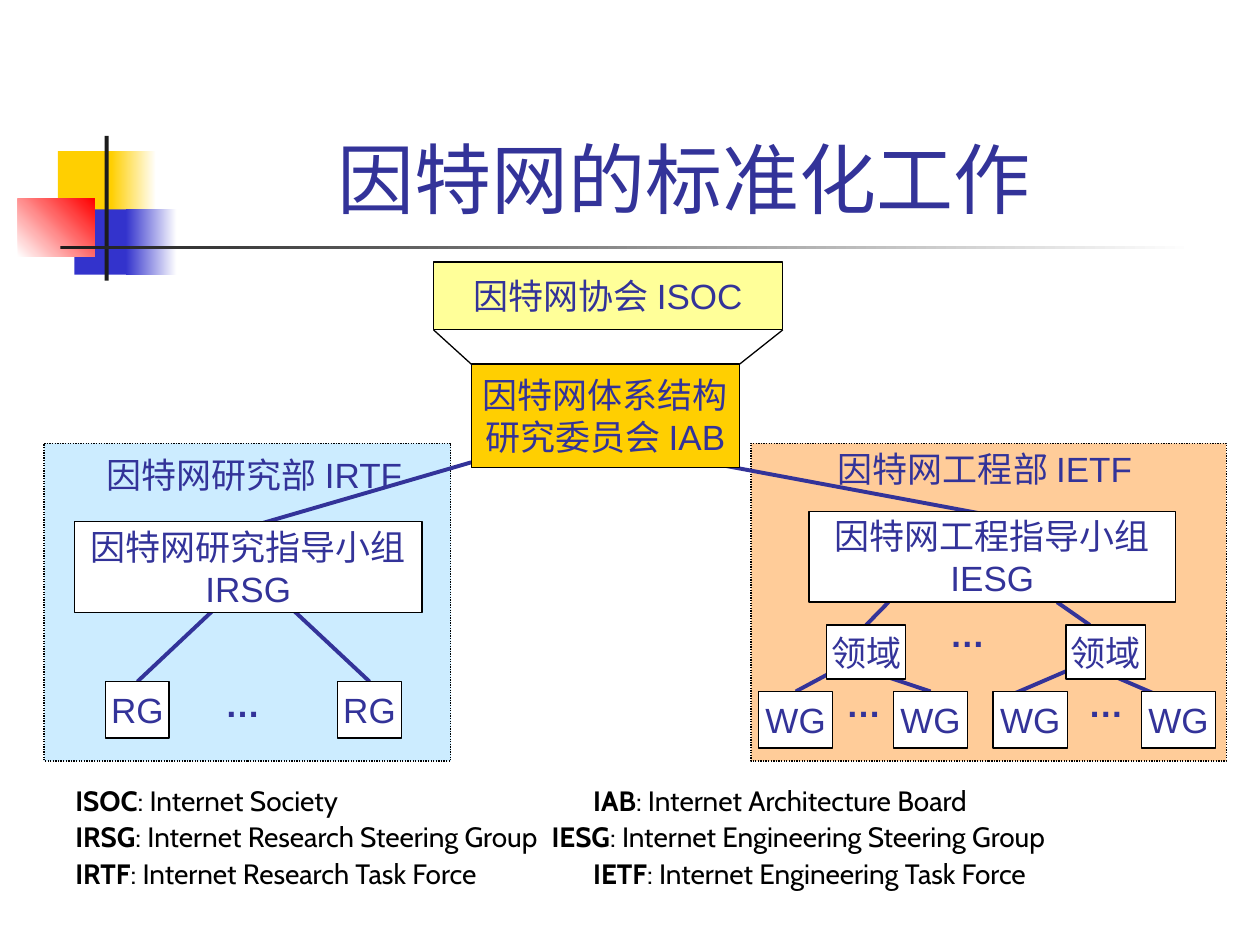
from lxml import etree
from pptx import Presentation
from pptx.dml.color import RGBColor
from pptx.enum.dml import MSO_LINE
from pptx.enum.shapes import MSO_CONNECTOR, MSO_SHAPE
from pptx.enum.text import MSO_ANCHOR, MSO_AUTO_SIZE, PP_ALIGN
from pptx.oxml.ns import qn
from pptx.util import Cm, Pt

RECTANGLE = MSO_SHAPE.RECTANGLE
STRAIGHT = MSO_CONNECTOR.STRAIGHT
DOTTED = MSO_LINE.ROUND_DOT
CENTER = PP_ALIGN.CENTER
MIDDLE, BOTTOM = MSO_ANCHOR.MIDDLE, MSO_ANCHOR.BOTTOM
NO_AUTOFIT = MSO_AUTO_SIZE.NONE
TOP_SIDE = 0

INDIGO = RGBColor(0x33, 0x33, 0x99)
BLACK = RGBColor(0, 0, 0)
WHITE = RGBColor(0xFF, 0xFF, 0xFF)
CHARCOAL = RGBColor(0x1C, 0x1C, 0x1C)
GOLD = RGBColor(0xFF, 0xCF, 0x01)
BLUE = RGBColor(0x33, 0x33, 0xCC)
RED = RGBColor(0xFF, 0, 0)
PALE_YELLOW = RGBColor(0xFF, 0xFF, 0x99)
PALE_BLUE = RGBColor(0xCC, 0xEC, 0xFF)
PEACH = RGBColor(0xFF, 0xCC, 0x99)

TITLE = "因特网的标准化工作"
TITLE_AREA = (2.69, 0.58, 22.2, 4.06)

ORNAMENTS = [
    ((1.17, 3.05, 1.22, 1.32), (GOLD,), 0),
    ((2.24, 3.05, 0.91, 1.32), (GOLD, WHITE), 0),
    ((1.5, 4.22, 1.17, 1.32), (BLUE,), 0),
    ((2.54, 4.22, 1.02, 1.32), (BLUE, WHITE), 0),
    ((0.36, 4.01, 1.55, 1.17), (WHITE, RED), 45),
    ((2.11, 2.74, 0.08, 2.92), (CHARCOAL,), 0),
    ((1.22, 4.95, 22.86, 0.08), (CHARCOAL, WHITE), 0),
]

PANELS = [
    ((0.89, 8.94, 8.2, 6.4), PALE_BLUE),
    ((15.14, 8.94, 9.58, 6.4), PEACH),
]
PANEL_LABELS = [
    ("因特网研究部 IRTF", (1.9, 9.02, 6.71, 1.12)),
    ("因特网工程部 IETF", (16.64, 8.89, 6.65, 1.12)),
]

BOXES = {
    "ISOC": (["因特网协会 ISOC"], (8.74, 5.28, 7.04, 1.37), PALE_YELLOW),
    "IAB": (["因特网体系结构", "研究委员会 IAB"], (9.5, 7.34, 5.41, 2.08), GOLD),
    "IRSG": (["因特网研究指导小组", "IRSG"], (1.5, 10.52, 7.01, 1.83), WHITE),
    "IESG": (["因特网工程指导小组", "IESG"], (16.31, 10.31, 7.39, 1.83), WHITE),
}
BOX_ROWS = [
    ("RG", (2.13, 6.81), 13.74, (1.28, 1.14)),
    ("领域", (16.66, 21.49), 12.6, (1.6, 1.09)),
    ("WG", (15.29, 18.01, 20.02, 23.01), 13.94, (1.5, 1.14)),
]
for name, lefts, top, size in BOX_ROWS:
    for number, left in enumerate(lefts, 1):
        BOXES[f"{name} {number}"] = ([name], (left, top, *size), WHITE)

ELLIPSES = [(18.9, 12.22), (16.81, 13.64), (21.69, 13.64), (4.29, 13.64)]

FUNNEL_LINES = [
    ((8.74, 6.65), (9.5, 7.34)),
    ((15.78, 6.65), (14.91, 7.34)),
]
TREE_LINES = [
    ((5.31, 10.54), (9.5, 9.32)),
    ((19.71, 10.34), (13.44, 9.17)),
    ((4.47, 12.14), "RG 1"),
    ((5.74, 12.14), "RG 2"),
    ((17.91, 12.14), "领域 1"),
    ((21.31, 12.14), (21.97, 12.6)),
    ((16.84, 13.51), "WG 1"),
    ((17.48, 13.51), "WG 2"),
    ((21.54, 13.51), (20.47, 13.97)),
    ((22.17, 13.51), (23.24, 13.97)),
]

GLOSSARY_AREA = (1.27, 15.67, 23.7, 2.41)
GLOSSARY = [
    (("ISOC", "Internet Society"), ("IAB", "Internet Architecture Board"), 10.44),
    (("IRSG", "Internet Research Steering Group"),
     ("IESG", "Internet Engineering Steering Group"), 9.6),
    (("IRTF", "Internet Research Task Force"),
     ("IETF", "Internet Engineering Task Force"), 10.44),
]


def lengths(values):
    return [Cm(value) for value in values]


def set_font(paragraph, size, color, name="Arial", bold=None):
    font = paragraph.font
    font.name, font.size, font.bold = name, Pt(size), bold
    font.color.rgb = color


def add_rectangle(slide, area, colors, angle=0, dash=None, outlined=True):
    shape = slide.shapes.add_shape(RECTANGLE, *lengths(area))
    shape.shadow.inherit = False
    if len(colors) == 1:
        shape.fill.solid()
        shape.fill.fore_color.rgb = colors[0]
    else:
        shape.fill.gradient()
        shape.fill.gradient_angle = angle
        for stop, color in zip(shape.fill.gradient_stops, colors):
            stop.color.rgb = color
    if outlined:
        shape.line.color.rgb = BLACK
        shape.line.width = Pt(0.75)
        if dash is not None:
            shape.line.dash_style = dash
    else:
        shape.line.fill.background()
    return shape


def add_box(slide, lines, area, color):
    shape = add_rectangle(slide, area, [color])
    frame = shape.text_frame
    frame.word_wrap = False
    frame.vertical_anchor = MIDDLE
    frame.margin_left = frame.margin_right = 0
    frame.margin_top = frame.margin_bottom = 0
    for index, line in enumerate(lines):
        paragraph = frame.add_paragraph() if index else frame.paragraphs[0]
        paragraph.text = line
        paragraph.alignment = CENTER
        set_font(paragraph, 20, INDIGO)
    return shape


def add_label(slide, text, area, bold=None):
    frame = slide.shapes.add_textbox(*lengths(area)).text_frame
    frame.word_wrap = False
    frame.text = text
    set_font(frame.paragraphs[0], 20, INDIGO, bold=bold)


def add_line(slide, start, end, color, width):
    connector = slide.shapes.add_connector(STRAIGHT, *lengths((*start, *end)))
    connector.line.color.rgb = color
    connector.line.width = Pt(width)
    etree.SubElement(connector.element.spPr, qn("a:effectLst"))
    return connector


def add_glossary(slide):
    frame = slide.shapes.add_textbox(*lengths(GLOSSARY_AREA)).text_frame
    frame.word_wrap = True
    for index, (first, second, tab) in enumerate(GLOSSARY):
        paragraph = frame.add_paragraph() if index else frame.paragraphs[0]
        if index:
            paragraph.space_before = Pt(1.6)
        properties = paragraph._p.get_or_add_pPr()
        tabs = etree.SubElement(properties, qn("a:tabLst"))
        etree.SubElement(tabs, qn("a:tab"), pos=str(Cm(tab)), algn="l")
        set_font(paragraph, 16, BLACK, "Cabin")
        for (term, meaning), ending in ((first, "\t"), (second, "")):
            run = paragraph.add_run()
            run.text = term
            run.font.bold = True
            paragraph.add_run().text = f": {meaning}{ending}"


def main():
    presentation = Presentation()
    presentation.slide_width, presentation.slide_height = Cm(25.4), Cm(19.05)
    slide = presentation.slides.add_slide(presentation.slide_layouts[5])

    for area, colors, angle in ORNAMENTS:
        add_rectangle(slide, area, colors, angle, outlined=False)

    title = slide.shapes.title
    title.left, title.top, title.width, title.height = lengths(TITLE_AREA)
    title.text_frame.text = TITLE
    title.text_frame.auto_size = NO_AUTOFIT
    title.text_frame.vertical_anchor = BOTTOM
    title.text_frame.paragraphs[0].alignment = CENTER
    set_font(title.text_frame.paragraphs[0], 44, INDIGO)

    for area, color in PANELS:
        add_rectangle(slide, area, [color], dash=DOTTED)
    for text, area in PANEL_LABELS:
        add_label(slide, text, area)

    for start, end in FUNNEL_LINES:
        add_line(slide, start, end, BLACK, 0.75)
    joined = []
    for start, end in TREE_LINES:
        if end in BOXES:
            joined.append((add_line(slide, start, start, INDIGO, 2.25), end))
        else:
            add_line(slide, start, end, INDIGO, 2.25)

    boxes = {name: add_box(slide, *box) for name, box in BOXES.items()}
    for connector, name in joined:
        connector.end_connect(boxes[name], TOP_SIDE)

    for left, top in ELLIPSES:
        add_label(slide, "…", (left, top, 1.22, 1.1), bold=True)
    add_glossary(slide)
    presentation.save("out.pptx")


if __name__ == "__main__":
    main()
